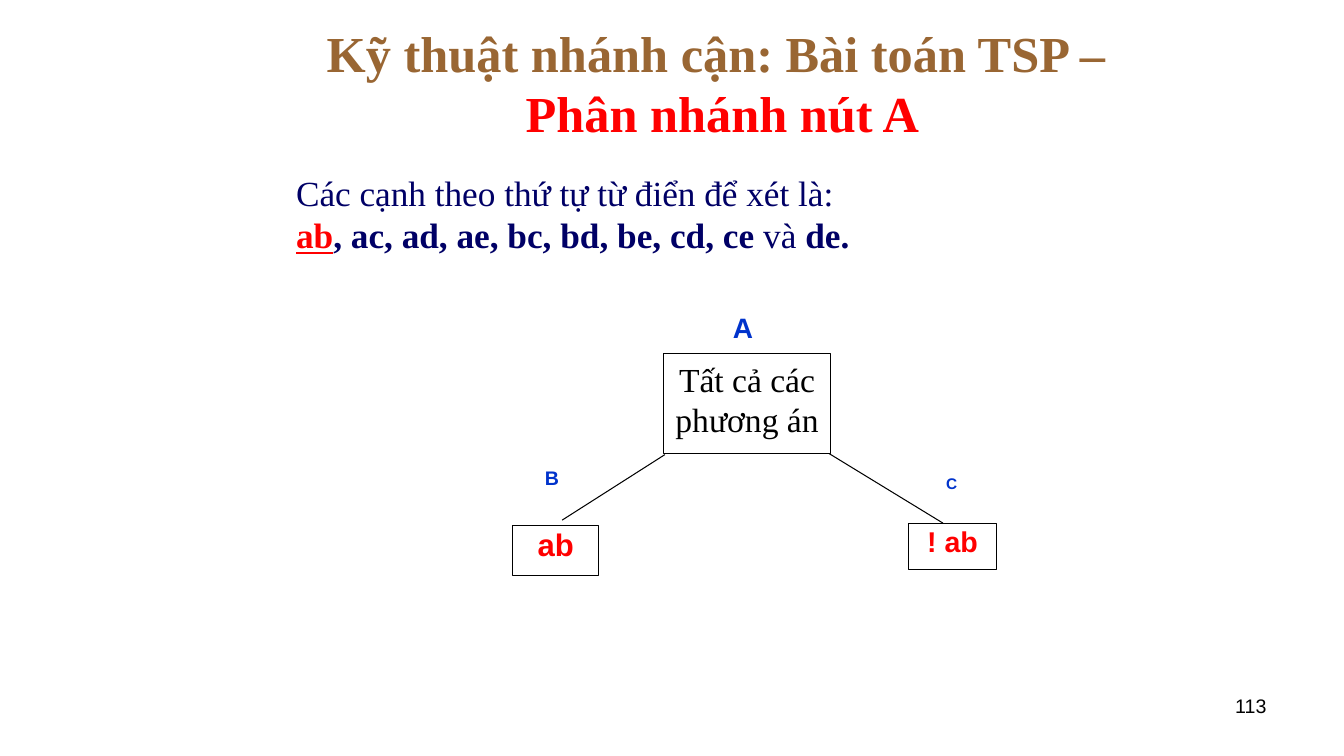
from dataclasses import dataclass

from lxml import etree
from pptx import Presentation
from pptx.dml.color import RGBColor
from pptx.enum.shapes import MSO_CONNECTOR, MSO_SHAPE
from pptx.enum.text import MSO_ANCHOR, MSO_AUTO_SIZE, PP_ALIGN
from pptx.oxml.ns import qn
from pptx.util import Inches, Pt

LEFT, CENTER, RIGHT = PP_ALIGN.LEFT, PP_ALIGN.CENTER, PP_ALIGN.RIGHT
TOP, MIDDLE = MSO_ANCHOR.TOP, MSO_ANCHOR.MIDDLE
NO_FIT = MSO_AUTO_SIZE.NONE
RECT = MSO_SHAPE.RECTANGLE
STRAIGHT = MSO_CONNECTOR.STRAIGHT


@dataclass(frozen=True)
class Theme:
    serif: str = "Times New Roman"
    sans: str = "Arial"
    brown: str = "996633"
    red: str = "FF0000"
    navy: str = "000066"
    blue: str = "0033CC"
    black: str = "000000"
    title: float = 36
    body: float = 25.2
    root: float = 24
    left_node: float = 22.2
    right_node: float = 20.4
    label_a: float = 20
    label_b: float = 14
    label_c: float = 11
    number: float = 14
    line: float = 0.75


T = Theme()


def place(sp, left, top, width, height):
    sp.left, sp.top = Inches(left), Inches(top)
    sp.width, sp.height = Inches(width), Inches(height)


def prepare(tf, align, anchor=TOP, margins=(0.1, 0.05), spacing=None):
    tf.word_wrap = True
    tf.auto_size = NO_FIT
    tf.vertical_anchor = anchor
    tf.margin_left = tf.margin_right = Inches(margins[0])
    tf.margin_top = tf.margin_bottom = Inches(margins[1])
    p = tf.paragraphs[0]
    p.alignment = align
    p.space_before = Pt(0)
    if spacing:
        p.line_spacing = spacing
    return p


def add_run(p, text, font, size, color, bold=False, underline=False):
    r = p.add_run()
    r.text = text
    r.font.name = font
    r.font.size = Pt(size)
    r.font.color.rgb = RGBColor.from_string(color)
    r.font.bold = bold
    r.font.underline = underline


def add_text(slide, box, align, **layout):
    sp = slide.shapes.add_textbox(*map(Inches, box))
    return prepare(sp.text_frame, align, **layout)


def add_title(slide):
    sp = slide.shapes.title
    place(sp, 1.67, 0.3, 11, 1.03)
    p = prepare(sp.text_frame, CENTER, MIDDLE, spacing=1.0)
    add_run(p, "Kỹ thuật nhánh cận: Bài toán TSP – ", T.serif, T.title, T.brown, True)
    p.add_line_break()
    add_run(p, "Phân nhánh nút A", T.serif, T.title, T.red, True)


def add_edge_list(slide):
    p = add_text(slide, (2.84, 1.65, 8.37, 1.01), LEFT)
    add_run(p, "Các cạnh theo thứ tự từ điển để xét là:", T.serif, T.body, T.navy)
    p.add_line_break()
    add_run(p, "ab", T.serif, T.body, T.red, True, True)
    add_run(p, ", ac, ad, ae, bc, bd, be, cd, ce ", T.serif, T.body, T.navy, True)
    add_run(p, "và", T.serif, T.body, T.navy)
    add_run(p, " de.", T.serif, T.body, T.navy, True)


def add_label(slide, box, text, size, spacing=None):
    p = add_text(slide, box, CENTER, margins=(0, 0), spacing=spacing)
    add_run(p, text, T.sans, size, T.blue, True)


def add_node(slide, box, text, font, size, color, bold=False, spacing=None):
    sp = slide.shapes.add_shape(RECT, *map(Inches, box))
    sp.shadow.inherit = False
    sp.fill.background()
    sp.line.color.rgb = RGBColor.from_string(T.black)
    sp.line.width = Pt(T.line)
    p = prepare(sp.text_frame, CENTER, spacing=spacing)
    add_run(p, text, font, size, color, bold)


def add_branch(slide, start, end):
    line = slide.shapes.add_connector(STRAIGHT, *map(Inches, start + end))
    line.line.color.rgb = RGBColor.from_string(T.black)
    line.line.width = Pt(T.line)
    etree.SubElement(line._element.spPr, qn("a:effectLst"))


def main():
    prs = Presentation()
    prs.slide_width, prs.slide_height = Inches(13.34), Inches(7.5)
    slide = prs.slides.add_slide(prs.slide_layouts[5])

    add_title(slide)
    add_edge_list(slide)

    add_label(slide, (7.19, 3.08, 0.37, 0.41), "A", T.label_a)
    add_label(slide, (5.33, 4.67, 0.3, 0.24), "B", T.label_b, 0.8)
    add_label(slide, (9.22, 4.74, 0.45, 0.2), "C", T.label_c, 0.8)

    add_node(slide, (6.59, 3.51, 1.65, 0.99), "Tất cả các phương án",
             T.serif, T.root, T.black)
    add_node(slide, (5.09, 5.21, 0.85, 0.5), "ab",
             T.sans, T.left_node, T.red, True, 0.9)
    add_node(slide, (9.02, 5.19, 0.87, 0.46), "! ab",
             T.sans, T.right_node, T.red, True, 0.9)

    add_branch(slide, (6.6, 4.51), (5.58, 5.16))
    add_branch(slide, (8.23, 4.5), (9.36, 5.19))

    p = add_text(slide, (9.56, 6.83, 3.11, 0.52), RIGHT)
    add_run(p, "113", T.sans, T.number, T.black)

    prs.save("out.pptx")


if __name__ == "__main__":
    main()
